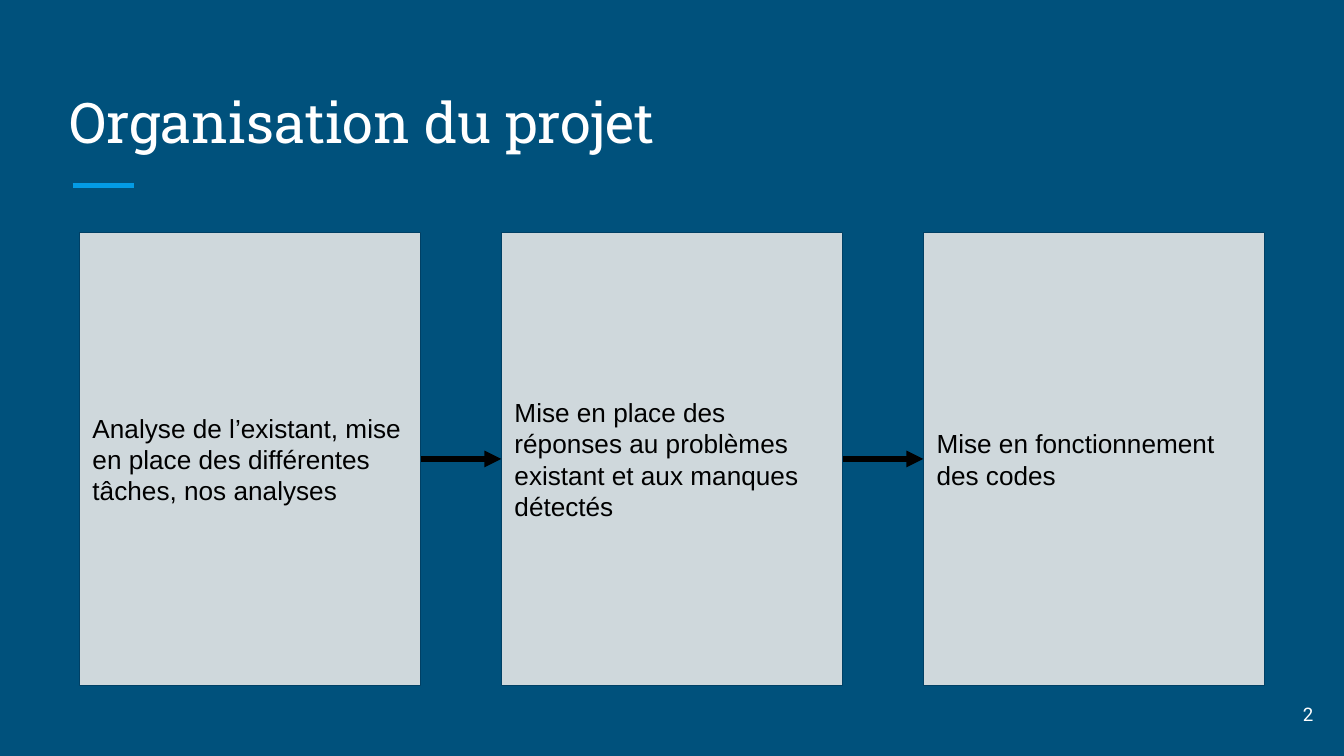
from dataclasses import dataclass
from itertools import pairwise

from lxml import etree
from pptx import Presentation
from pptx.dml.color import RGBColor
from pptx.enum.shapes import MSO_CONNECTOR, MSO_SHAPE
from pptx.enum.text import MSO_ANCHOR, PP_ALIGN
from pptx.oxml.ns import qn
from pptx.util import Inches, Pt

STRAIGHT = MSO_CONNECTOR.STRAIGHT
RECTANGLE = MSO_SHAPE.RECTANGLE
MIDDLE, BOTTOM = MSO_ANCHOR.MIDDLE, MSO_ANCHOR.BOTTOM
LEFT, RIGHT = PP_ALIGN.LEFT, PP_ALIGN.RIGHT
LEFT_SIDE, RIGHT_SIDE = 1, 3

SLIDE_WIDTH = 10
SLIDE_HEIGHT = SLIDE_WIDTH * 9 / 16

# Row of equal steps, centred on the slide
STEP_WIDTH, STEP_GAP = 2.54, 0.6
STEP_TOP, STEP_HEIGHT = 1.73, 3.37
STEPS = [
    "Analyse de l’existant, mise en place des différentes tâches, nos analyses",
    "Mise en place des réponses au problèmes existant et aux manques détectés",
    "Mise en fonctionnement des codes",
]
ROW_WIDTH = len(STEPS) * (STEP_WIDTH + STEP_GAP) - STEP_GAP
ROW_LEFT = (SLIDE_WIDTH - ROW_WIDTH) / 2


@dataclass(frozen=True)
class Area:
    left: float
    top: float
    width: float
    height: float

    def lengths(self):
        return [Inches(n) for n in (self.left, self.top, self.width, self.height)]


@dataclass(frozen=True)
class TextStyle:
    font: str
    size: float
    color: str
    anchor: MSO_ANCHOR = MIDDLE
    align: PP_ALIGN = LEFT


TITLE = TextStyle("Roboto Slab", 30, "FFFFFF", anchor=BOTTOM)
PAGE_NUMBER = TextStyle("Roboto", 10, "FFFFFF", align=RIGHT)
STEP = TextStyle("Arial", 14, "000000")


def paint(color_format, color: str) -> None:
    color_format.rgb = RGBColor.from_string(color)


def write(shape, text: str, style: TextStyle) -> None:
    frame = shape.text_frame
    frame.word_wrap = True
    frame.vertical_anchor = style.anchor
    frame.margin_left = frame.margin_right = Inches(0.1)
    frame.margin_top = frame.margin_bottom = Inches(0.1)
    para = frame.paragraphs[0]
    para.text = text
    para.alignment = style.align
    para.font.name = style.font
    para.font.size = Pt(style.size)
    paint(para.font.color, style.color)


def add_text(page, area: Area, text: str, style: TextStyle) -> None:
    write(page.shapes.add_textbox(*area.lengths()), text, style)


def add_step(page, column: int, text: str):
    left = ROW_LEFT + column * (STEP_WIDTH + STEP_GAP)
    area = Area(left, STEP_TOP, STEP_WIDTH, STEP_HEIGHT)
    box = page.shapes.add_shape(RECTANGLE, *area.lengths())
    box.shadow.inherit = False
    box.fill.solid()
    paint(box.fill.fore_color, "CFD8DC")
    paint(box.line.color, "004065")
    box.line.width = Pt(0.75)
    write(box, text, STEP)
    return box


def add_line(page, start: float, end: float, y: float, color: str):
    line = page.shapes.add_connector(
        STRAIGHT, Inches(start), Inches(y), Inches(end), Inches(y)
    )
    paint(line.line.color, color)
    line.line.width = Pt(3)
    etree.SubElement(line._element.spPr, qn("a:effectLst"))
    return line


def add_arrow(page, source, target) -> None:
    arrow = add_line(page, 0, 0, 0, "000000")
    arrow.begin_connect(source, RIGHT_SIDE)
    arrow.end_connect(target, LEFT_SIDE)
    etree.SubElement(arrow.line._get_or_add_ln(), qn("a:tailEnd"), type="triangle")


def main() -> None:
    deck = Presentation()
    deck.slide_width = Inches(SLIDE_WIDTH)
    deck.slide_height = Inches(SLIDE_HEIGHT)
    page = deck.slides.add_slide(deck.slide_layouts[6])
    page.background.fill.solid()
    paint(page.background.fill.fore_color, "00517C")

    # Heading with its accent, and the page number
    add_line(page, 0.54, 1, 1.38, "039BE5")
    add_text(page, Area(0.42, 0.5, 9.15, 0.75), "Organisation du projet", TITLE)
    add_text(page, Area(9.27, 5.1, 0.6, 0.43), "2", PAGE_NUMBER)

    # Steps joined by arrows
    boxes = [add_step(page, column, text) for column, text in enumerate(STEPS)]
    for source, target in pairwise(boxes):
        add_arrow(page, source, target)

    deck.save("out.pptx")


if __name__ == "__main__":
    main()
